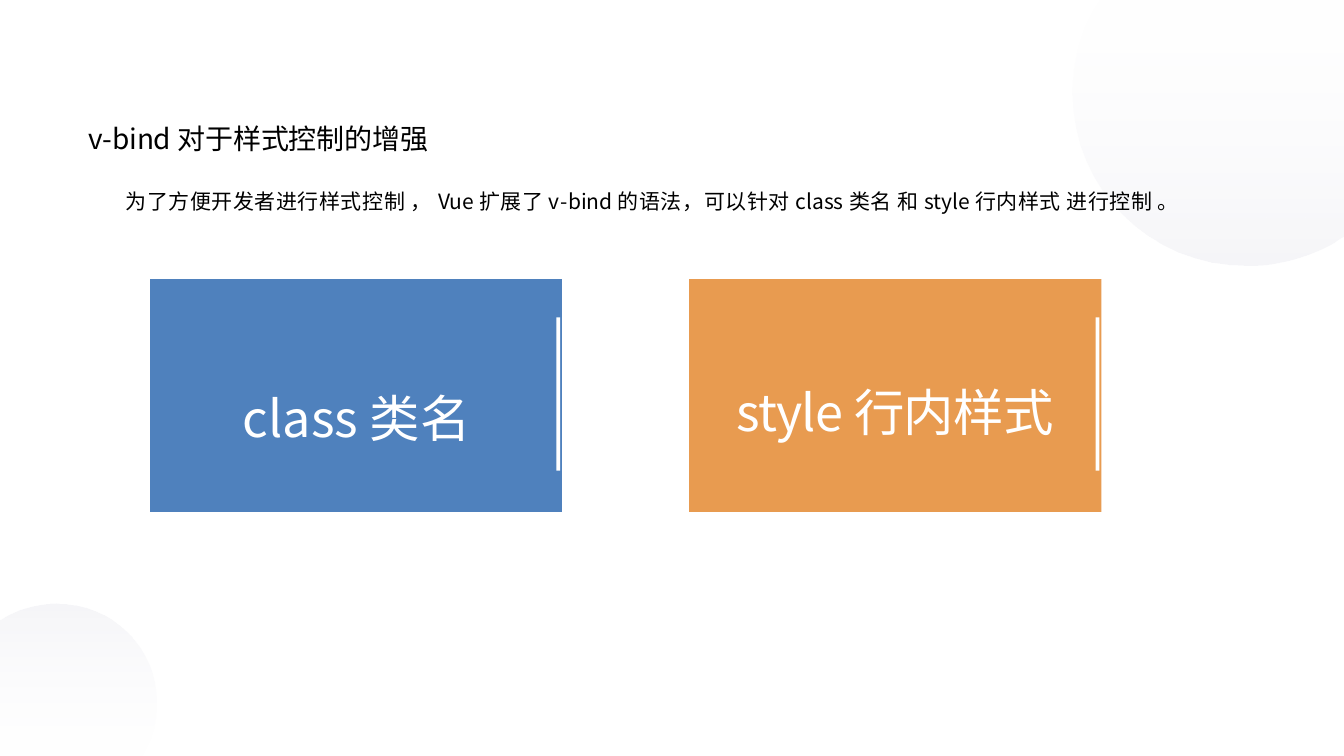
from collections import namedtuple

from lxml.etree import SubElement
from pptx import Presentation
from pptx.dml.color import RGBColor
from pptx.enum.shapes import MSO_SHAPE
from pptx.enum.text import PP_ALIGN
from pptx.oxml.ns import qn
from pptx.util import Cm, Pt

COLORS = {
    "white": "FFFFFF",
    "black": "000000",
    "mist": "D8D8E4",
    "blue": "4F81BD",
    "orange": "E79647",
}
FONT = "Noto Sans CJK SC"
PAGE_WIDTH, PAGE_HEIGHT = 33.87, 19.05

DISC_WIDTH = 6.84
DISC_START = (0.71, 0)
DISC_EDGES = [(6.84, 0), (6.84, 5.94), (6.5, 6.15)]
DISC_CURVES = [
    [(5.87, 6.48), (5.15, 6.68), (4.39, 6.68)],
    [(1.96, 6.68), (0, 4.75), (0, 2.34)],
    [(0, 1.6), (0.18, 0.89), (0.53, 0.28)],
]

Box = namedtuple("Box", "left top width height")


def color_of(name):
    return RGBColor.from_string(COLORS[name])


def lengths(box):
    return [Cm(value) for value in box]


def add_color(parent, name, opacity=100):
    color = SubElement(parent, qn("a:srgbClr"), val=COLORS[name])
    if opacity < 100:
        SubElement(color, qn("a:alpha"), val=str(opacity * 1000))


def write(para, text, *, size, color="black", spacing=0):
    span = para.add_run()
    span.text = text
    span.font.size = Pt(size)
    span.font.name = FONT
    span.font.color.rgb = color_of(color)
    properties = span._r.get_or_add_rPr()
    properties.set("spc", str(round(spacing * 100)))
    SubElement(properties, qn("a:ea"), typeface=FONT)


def add_disc(page, left, top, width, rotation=0):
    scale = width / DISC_WIDTH

    def place(point):
        return Cm(left + point[0] * scale), Cm(top + point[1] * scale)

    builder = page.shapes.build_freeform(*place(DISC_START))
    for points in (DISC_EDGES, *DISC_CURVES):
        builder.add_line_segments([place(point) for point in points], close=False)
    disc = builder.convert_to_shape()
    disc.shadow.inherit = False
    disc.line.fill.background()
    disc.rotation = rotation

    outline = next(disc._element.iter(qn("a:path")))
    steps = outline.findall(qn("a:lnTo"))[len(DISC_EDGES):]
    for first in range(0, len(steps), 3):
        curve = SubElement(outline, qn("a:cubicBezTo"))
        for step in steps[first:first + 3]:
            curve.append(step[0])
            outline.remove(step)
    SubElement(outline, qn("a:close"))

    disc.fill.gradient()
    gradient = disc._element.spPr.find(qn("a:gradFill"))
    gradient.set("rotWithShape", "1")
    for child in list(gradient):
        gradient.remove(child)
    stops = SubElement(gradient, qn("a:gsLst"))
    for position, name, opacity in ((0, "white", 10), (100, "mist", 24)):
        stop = SubElement(stops, qn("a:gs"), pos=str(position * 1000))
        add_color(stop, name, opacity)
    SubElement(gradient, qn("a:lin"), ang=str(90 * 60000), scaled="0")


def add_rectangle(page, box, color, opacity=100):
    rectangle = page.shapes.add_shape(MSO_SHAPE.RECTANGLE, *lengths(box))
    rectangle.shadow.inherit = False
    rectangle.line.fill.background()
    rectangle.fill.solid()
    rectangle.fill.fore_color.rgb = color_of(color)
    if opacity < 100:
        fill = rectangle._element.spPr.find(qn("a:solidFill"))
        fill.remove(fill[0])
        add_color(fill, color, opacity)


def set_borders(cell, visible):
    properties = cell._tc.get_or_add_tcPr()
    for index, side in enumerate("LRTB"):
        line = properties.makeelement(qn(f"a:ln{side}"), {"w": str(Pt(3))})
        properties.insert(index, line)
        if side in visible:
            add_color(SubElement(line, qn("a:solidFill")), "white")
        else:
            SubElement(line, qn("a:noFill"))


def add_card(page, box, label, *, color, label_width, indent, line_spacing,
             spacing=0, backing_opacity=None):
    if backing_opacity:
        backing = Box(box.left, box.top + 0.04, box.width, box.height - 0.04)
        add_rectangle(page, backing, color, backing_opacity)
    table = page.shapes.add_table(1, 2, *lengths(box)).table
    table.first_row = False
    table.horz_banding = False
    table.columns[0].width = Cm(label_width)
    table.columns[1].width = Cm(box.width - label_width)
    for cell, visible in zip(table.rows[0].cells, ("LTB", "TB")):
        if backing_opacity:
            cell.fill.background()
        else:
            cell.fill.solid()
            cell.fill.fore_color.rgb = color_of(color)
        set_borders(cell, visible)
    cell = table.cell(0, 0)
    cell.margin_left = Cm(indent)
    cell.margin_top = Cm(2.69)
    cell.margin_right = cell.margin_bottom = 0
    para = cell.text_frame.paragraphs[0]
    para.line_spacing = line_spacing
    write(para, label, size=36, color="white", spacing=spacing)
    add_rectangle(page, Box(box.left + 10.29, box.top + 1.01, 0.1, 3.86), "white")


def add_introduction(page, box):
    frame = page.shapes.add_textbox(*lengths(box)).text_frame
    frame.word_wrap = True
    frame.margin_left = frame.margin_right = 0
    frame.margin_top = frame.margin_bottom = 0
    title = frame.paragraphs[0]
    title.line_spacing = 0.92
    write(title, "v-bind 对于", size=20, spacing=-0.1)
    write(title, "样式控制的增强", size=20, spacing=-0.2)
    body = frame.add_paragraph()
    body.alignment = PP_ALIGN.RIGHT
    body.line_spacing = 0.87
    body.space_before = Pt(26.1)
    pieces = (
        ("为了方便开发者进行样式控制 ， ", 0.4),
        ("Vue", 0),
        (" 扩展了 v-", 0.4),
        ("bind", 0),
        (" 的语法，可以针对 ", 0.4),
        ("class", 0),
        (" 类名 和 ", 0.4),
        ("style", 0),
        (" 行内样式 进行控制 。", 0.4),
    )
    for text, spacing in pieces:
        write(body, text, size=15, spacing=spacing)


def main():
    deck = Presentation()
    deck.slide_width, deck.slide_height = Cm(PAGE_WIDTH), Cm(PAGE_HEIGHT)
    page = deck.slides.add_slide(deck.slide_layouts[6])
    add_disc(page, 27.03, 0, DISC_WIDTH)
    add_disc(page, 0, 15.21, 3.94, rotation=180)
    add_card(page, Box(3.73, 6.99, 10.44, 5.97), "class 类名", color="blue",
             label_width=9.2, indent=2.39, line_spacing=0.92)
    add_card(page, Box(17.32, 6.99, 10.44, 5.97), "style 行内样式", color="orange",
             label_width=9.78, indent=1.24, line_spacing=0.82, spacing=-0.5,
             backing_opacity=95)
    add_introduction(page, Box(2.23, 3.14, 27.49, 2.34))
    deck.save("out.pptx")


if __name__ == "__main__":
    main()
